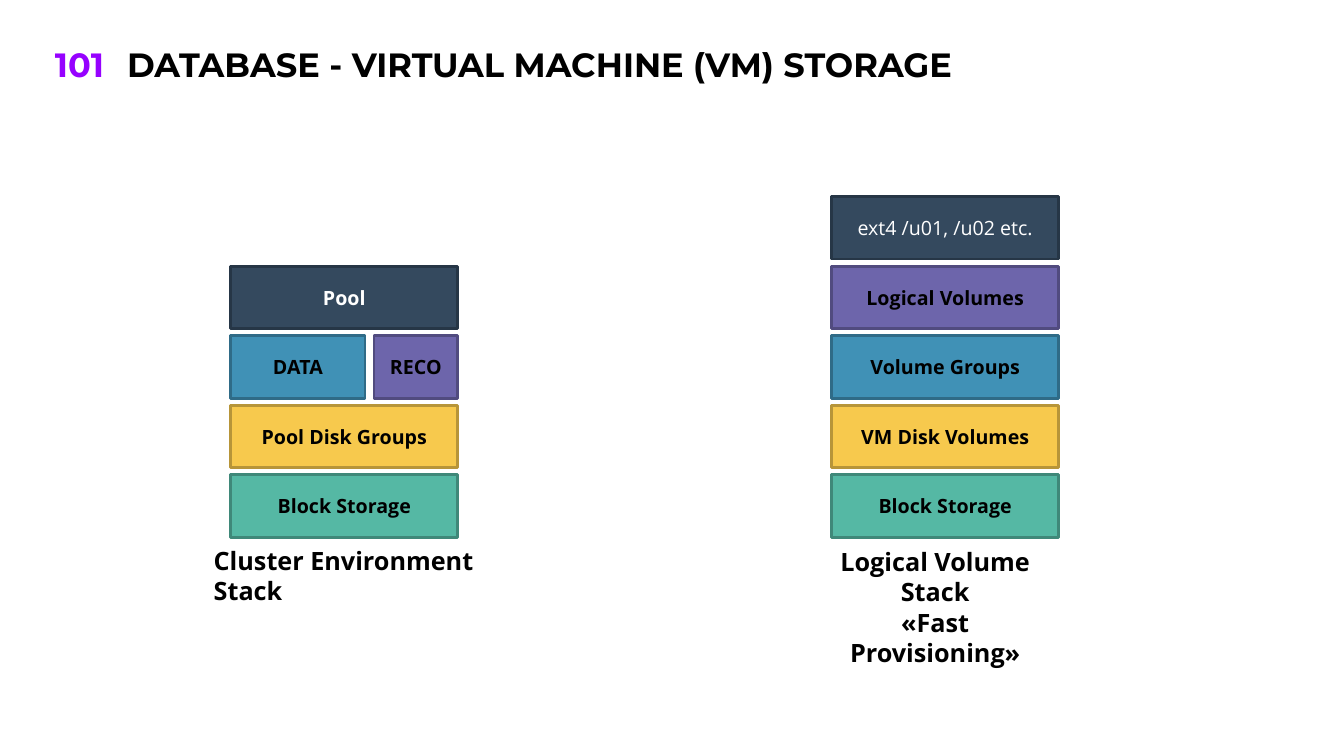
from pptx import Presentation
from pptx.dml.color import RGBColor
from pptx.enum.shapes import MSO_SHAPE as Shape
from pptx.enum.text import MSO_ANCHOR as Anchor, MSO_AUTO_SIZE as AutoSize, PP_ALIGN as Align
from pptx.util import Inches, Pt

BLACK, WHITE, PURPLE = "000000", "FFFFFF", "9601FF"
HEADING_FONT, BODY_FONT = "Montserrat", "Open Sans"

# Fill and outline of each kind of layer
GREEN = ("55B8A4", "3F8879")
YELLOW = ("F7C94D", "B79539")
BLUE = ("4091B6", "2F6B87")
VIOLET = ("6D65AB", "514B7F")
NAVY = ("34495E", "263646")

# Layers are stacked upwards from the block storage
BOTTOM_ROW, ROW_PITCH = 4.71, 0.69
LAYER_WIDTH, LAYER_HEIGHT = 2.25, 0.62


def color(hex_code):
    return RGBColor.from_string(hex_code)


def write(frame, text, size=14, font=BODY_FONT, ink=BLACK, bold=True,
          align=Align.LEFT, anchor=Anchor.MIDDLE, spacing=1.0, insets=(0.1, 0.05)):
    """Fill a text frame, one paragraph for each line of text."""
    frame.word_wrap = True
    frame.auto_size = AutoSize.NONE
    frame.vertical_anchor = anchor
    frame.margin_left = frame.margin_right = Inches(insets[0])
    frame.margin_top = frame.margin_bottom = Inches(insets[1])
    frame.text = text
    for paragraph in frame.paragraphs:
        paragraph.alignment = align
        paragraph.line_spacing = spacing
        paragraph.space_before = Pt(0)
        paragraph.font.size = Pt(size)
        paragraph.font.name = font
        paragraph.font.bold = bold
        paragraph.font.color.rgb = color(ink)


class StorageSlide:
    heading_style = dict(size=24, font=HEADING_FONT, spacing=0.9)

    def __init__(self, presentation):
        self.slide = presentation.slides.add_slide(presentation.slide_layouts[5])

    def title(self, text, left, top, width, height):
        heading = self.slide.shapes.title
        heading.left, heading.top = Inches(left), Inches(top)
        heading.width, heading.height = Inches(width), Inches(height)
        write(heading.text_frame, text, insets=(0.12, 0.05), **self.heading_style)

    def label(self, text, left, top, width, height, **style):
        box = self.slide.shapes.add_textbox(
            Inches(left), Inches(top), Inches(width), Inches(height))
        write(box.text_frame, text, **style)

    def page_number(self, text, *place):
        self.label(text, *place, ink=PURPLE, align=Align.RIGHT, **self.heading_style)

    def caption(self, text, *place, align=Align.LEFT):
        self.label(text, *place, size=18, align=align, anchor=Anchor.TOP, insets=(0, 0))

    def layer(self, text, palette, left, row, width=LAYER_WIDTH, ink=BLACK, bold=True):
        block = self.slide.shapes.add_shape(
            Shape.RECTANGLE, Inches(left), Inches(BOTTOM_ROW - row * ROW_PITCH),
            Inches(width), Inches(LAYER_HEIGHT))
        fill, outline = palette
        block.shadow.inherit = False
        block.fill.solid()
        block.fill.fore_color.rgb = color(fill)
        block.line.color.rgb = color(outline)
        block.line.width = Pt(2)
        write(block.text_frame, text, ink=ink, bold=bold, align=Align.CENTER)


def main():
    presentation = Presentation()
    presentation.slide_width, presentation.slide_height = Inches(13.33), Inches(7.5)
    storage = StorageSlide(presentation)

    # Heading
    storage.page_number("101", 0.26, 0.42, 0.87, 0.49)
    storage.title("DATABASE - VIRTUAL MACHINE (VM) STORAGE", 1.14, 0.42, 11.74, 0.48)

    # Cluster environment stack
    cluster_left = 2.29
    storage.layer("Block Storage", GREEN, cluster_left, 0)
    storage.layer("Pool Disk Groups", YELLOW, cluster_left, 1)
    storage.layer("DATA", BLUE, cluster_left, 2, width=1.33)
    storage.layer("RECO", VIOLET, cluster_left + 1.42, 2, width=0.83)
    storage.layer("Pool", NAVY, cluster_left, 3, ink=WHITE)
    storage.caption("Cluster Environment Stack", 2.12, 5.41, 2.76, 0.61)

    # Logical volume stack
    volume_left = 8.25
    volume_layers = [("Block Storage", GREEN), ("VM Disk Volumes", YELLOW),
                     ("Volume Groups", BLUE), ("Logical Volumes", VIOLET)]
    for row, (text, palette) in enumerate(volume_layers):
        storage.layer(text, palette, volume_left, row)
    storage.layer("ext4 /u01, /u02 etc.", NAVY, volume_left, len(volume_layers),
                  ink=WHITE, bold=False)
    storage.caption("Logical Volume Stack\n«Fast Provisioning»", 8.07, 5.42, 2.41, 1.22,
                    align=Align.CENTER)

    presentation.save("out.pptx")


if __name__ == "__main__":
    main()
